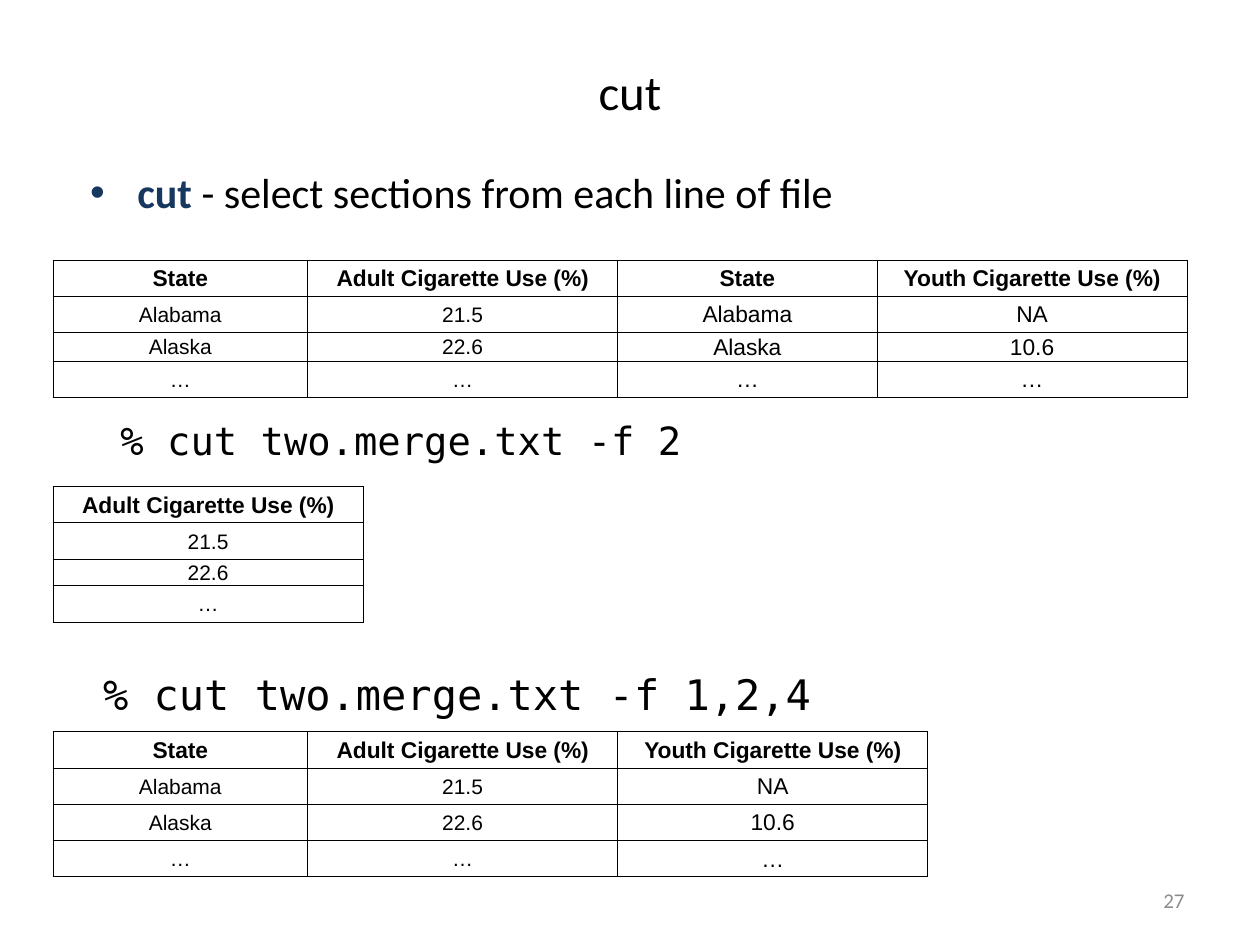
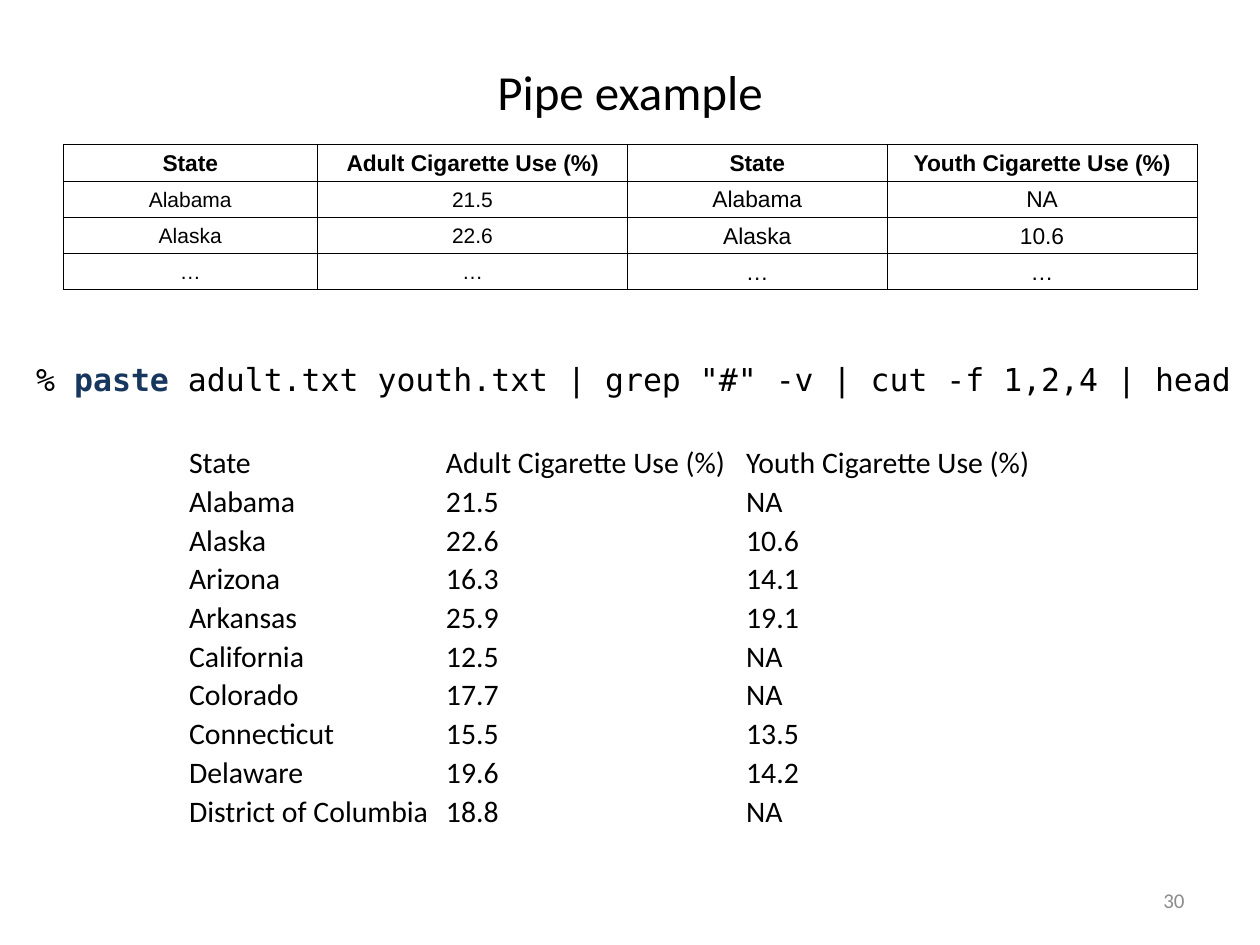
from lxml.etree import SubElement
from pptx import Presentation
from pptx.dml.color import RGBColor
from pptx.enum.text import MSO_ANCHOR, PP_ALIGN
from pptx.oxml.ns import qn
from pptx.util import Cm, Pt

BLACK = RGBColor(0x00, 0x00, 0x00)
NAVY = RGBColor(0x17, 0x37, 0x5E)
GRAY = RGBColor(0x8C, 0x8C, 0x8C)
BODY_FONT, TABLE_FONT, CODE_FONT = "Calibri", "Arial", "DejaVu Sans Mono"

# Each column of the merged file: width in cm, size of its data, values
MERGED_COLUMNS = [
    (5.13, 12, ["State", "Alabama", "Alaska", "…"]),
    (6.25, 12, ["Adult Cigarette Use (%)", "21.5", "22.6", "…"]),
    (5.23, 13, ["State", "Alabama", "Alaska", "…"]),
    (6.25, 13, ["Youth Cigarette Use (%)", "NA", "10.6", "…"]),
]
HEADER_SIZE = 13
ROW_HEIGHT, SHORT_ROW_HEIGHT = 0.73, 0.46
EVEN_ROWS = [ROW_HEIGHT] * 4
SHORT_THIRD_ROW = [ROW_HEIGHT, ROW_HEIGHT, SHORT_ROW_HEIGHT, ROW_HEIGHT]

# Tables on the first slide: top in cm, selected fields, row heights
CUT_TABLES = [
    (5.24, (1, 2, 3, 4), SHORT_THIRD_ROW),
    (9.81, (2,), SHORT_THIRD_ROW),
    (14.75, (1, 2, 4), EVEN_ROWS),
]
# Commands on the first slide: box in cm, size, text
CUT_COMMANDS = [
    ((2.18, 8.28, 12.62, 1.68), 22.2, "% cut two.merge.txt -f 2"),
    ((1.83, 13.36, 16.38, 1.75), 24, "% cut two.merge.txt -f 1,2,4"),
]
PIPE_COMMAND = [
    ("% ", False),
    ("paste ", True),
    ('adult.txt youth.txt | grep "#" -v | cut -f 1,2,4 | head', False),
]
PIPE_OUTPUT = [
    ("State", "Adult Cigarette Use (%)", "Youth Cigarette Use (%)"),
    ("Alabama", "21.5", "NA"),
    ("Alaska", "22.6", "10.6"),
    ("Arizona", "16.3", "14.1"),
    ("Arkansas", "25.9", "19.1"),
    ("California", "12.5", "NA"),
    ("Colorado", "17.7", "NA"),
    ("Connecticut", "15.5", "13.5"),
    ("Delaware", "19.6", "14.2"),
    ("District of Columbia", "18.8", "NA"),
]
PIPE_WIDTHS = [5.18, 6.05, 6.15]
PIPE_ROW_HEIGHT = 0.78


def style_font(font, name, size, color=BLACK, bold=False):
    font.name = name
    font.size = Pt(size)
    font.color.rgb = color
    font.bold = bold


def add_text(slide, box, parts, font_name, size, color=BLACK,
             align=PP_ALIGN.LEFT, anchor=MSO_ANCHOR.TOP):
    """Add one paragraph of (text, is_keyword) parts and return it."""
    frame = slide.shapes.add_textbox(*map(Cm, box)).text_frame
    frame.word_wrap = True
    frame.vertical_anchor = anchor
    paragraph = frame.paragraphs[0]
    paragraph.alignment = align
    for text, is_keyword in parts:
        run = paragraph.add_run()
        run.text = text
        style_font(run.font, font_name, size,
                   NAVY if is_keyword else color, is_keyword)
    return paragraph


def add_bullet(paragraph, indent):
    properties = paragraph._p.get_or_add_pPr()
    properties.set("marL", str(indent))
    properties.set("indent", str(-indent))
    SubElement(properties, qn("a:buFont"), typeface="Arial")
    SubElement(properties, qn("a:buChar"), char="•")


def add_borders(cell):
    properties = cell._tc.get_or_add_tcPr()
    for side in ("lnL", "lnR", "lnT", "lnB"):
        line = SubElement(properties, qn(f"a:{side}"), w=str(Pt(0.5)))
        fill = SubElement(line, qn("a:solidFill"))
        SubElement(fill, qn("a:srgbClr"), val=str(BLACK))


def add_grid(slide, left, top, widths, heights):
    """Add an unstyled table with tight cell margins."""
    table = slide.shapes.add_table(
        len(heights), len(widths), Cm(left), Cm(top),
        Cm(sum(widths)), Cm(sum(heights))).table
    table.first_row = table.horz_banding = False
    for column, width in zip(table.columns, widths):
        column.width = Cm(width)
    for row, height in zip(table.rows, heights):
        row.height = Cm(height)
    for cell in table.iter_cells():
        cell.margin_left = cell.margin_right = cell.margin_top = Cm(0.03)
        cell.margin_bottom = 0
        cell.vertical_anchor = MSO_ANCHOR.MIDDLE
    return table


def fill_cell(cell, text, font_name, size, bold=False, align=PP_ALIGN.LEFT):
    cell.fill.background()
    cell.text = text
    paragraph = cell.text_frame.paragraphs[0]
    paragraph.alignment = align
    style_font(paragraph.runs[0].font, font_name, size, bold=bold)


def add_merged_table(slide, left, top, fields, heights):
    """Show the chosen fields of the merged file, counted from 1."""
    columns = [MERGED_COLUMNS[field - 1] for field in fields]
    table = add_grid(slide, left, top, [column[0] for column in columns], heights)
    for column_index, (_, data_size, values) in enumerate(columns):
        for row_index, text in enumerate(values):
            is_header = row_index == 0
            cell = table.cell(row_index, column_index)
            add_borders(cell)
            fill_cell(cell, text, TABLE_FONT,
                      HEADER_SIZE if is_header else data_size,
                      is_header, PP_ALIGN.CENTER)


def add_slide(presentation, title, number):
    slide = presentation.slides.add_slide(presentation.slide_layouts[6])
    add_text(slide, (1.27, 0.76, 22.86, 2.16), [(title, False)], BODY_FONT, 28,
             align=PP_ALIGN.CENTER, anchor=MSO_ANCHOR.MIDDLE)
    add_text(slide, (18.2, 17.65, 5.93, 1.01), [(str(number), False)], BODY_FONT,
             12, GRAY, PP_ALIGN.RIGHT, MSO_ANCHOR.MIDDLE)
    return slide


def add_cut_slide(presentation):
    slide = add_slide(presentation, "cut", 27)
    paragraph = add_text(
        slide, (1.57, 3.23, 22.38, 1.63),
        [("cut", True), (" - select sections from each line of file", False)],
        BODY_FONT, 24)
    add_bullet(paragraph, Cm(0.95))
    for top, fields, heights in CUT_TABLES:
        add_merged_table(slide, 1.07, top, fields, heights)
    for box, size, command in CUT_COMMANDS:
        add_text(slide, box, [(command, False)], CODE_FONT, size)


def add_pipe_slide(presentation):
    slide = add_slide(presentation, "Pipe example", 30)
    add_text(slide, (0.48, 7.14, 24.71, 1.24), PIPE_COMMAND, CODE_FONT, 18)
    table = add_grid(slide, 3.78, 8.94, PIPE_WIDTHS,
                     [PIPE_ROW_HEIGHT] * len(PIPE_OUTPUT))
    for row, values in zip(table.rows, PIPE_OUTPUT):
        for cell, text in zip(row.cells, values):
            fill_cell(cell, text, BODY_FONT, 17)
    add_merged_table(slide, 1.27, 2.92, (1, 2, 3, 4), EVEN_ROWS)


def main():
    presentation = Presentation()
    presentation.slide_width = Cm(25.4)
    presentation.slide_height = Cm(19.05)
    add_cut_slide(presentation)
    add_pipe_slide(presentation)
    presentation.save("out.pptx")


if __name__ == "__main__":
    main()
